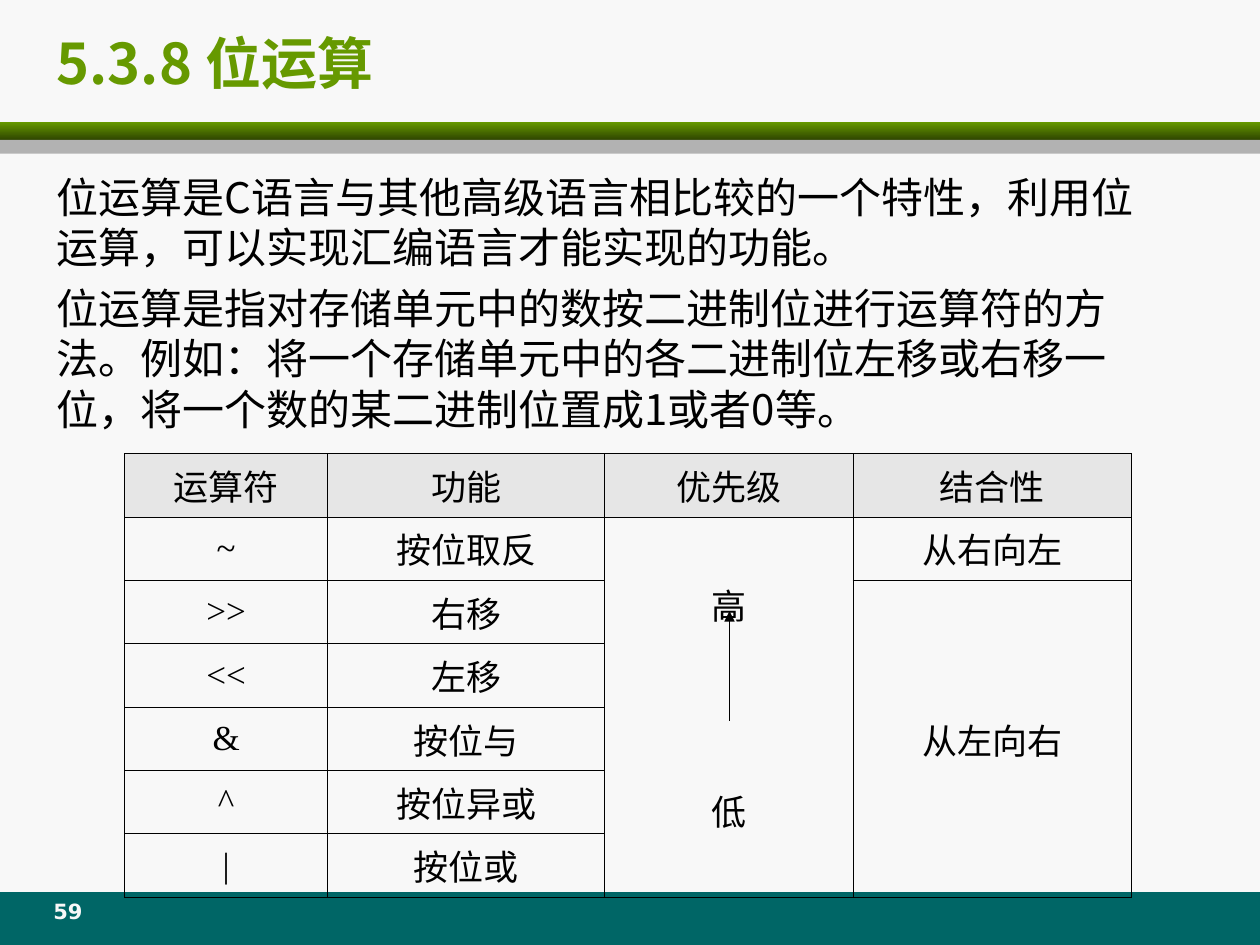
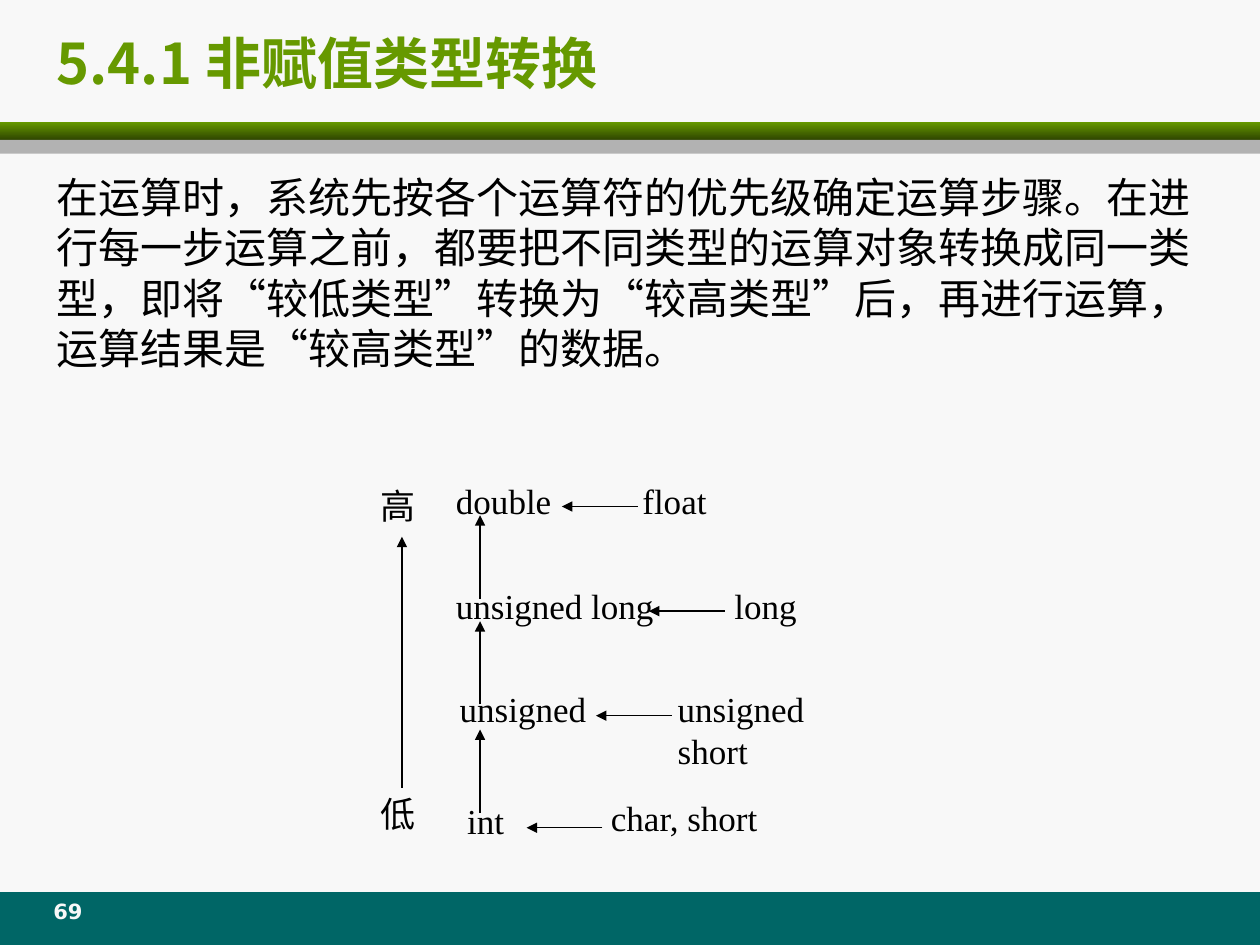
"""Build two slides on C bit operators and implicit type conversion."""
from lxml.etree import SubElement
from pptx import Presentation
from pptx.dml.color import RGBColor
from pptx.enum.shapes import MSO_CONNECTOR as Conn, MSO_SHAPE as Shape
from pptx.enum.text import MSO_ANCHOR as Anchor, PP_ALIGN as Align
from pptx.oxml import parse_xml
from pptx.oxml.ns import nsdecls, qn
from pptx.util import Inches, Pt

SANS, SERIF, DEJA = "Noto Sans CJK SC", "Times New Roman", "DejaVu Sans"
PAPER, GREEN, DARK, TEAL = "F8F8F8", "669900", "2F4600", "006666"
GREY, PALE, BLACK = "B2B2B2", "E6E6E6", "000000"

BANDS = [(7.08, 0.42, [TEAL]), (0.97, 0.14, [GREEN, DARK]), (1.11, 0.11, [GREY])]

BITS = {
    "title": "5.3.8 位运算",
    "page": "59",
    "width": 9.06,
    "body": [
        "位运算是C语言与其他高级语言相比较的一个特性，利用位运算，可以实现汇编语言才能实现的功能。",
        "位运算是指对存储单元中的数按二进制位进行运算符的方法。例如：将一个存储单元中的各二进制位"
        "左移或右移一位，将一个数的某二进制位置成1或者0等。",
    ],
}
CASTS = {
    "title": "5.4.1 非赋值类型转换",
    "page": "69",
    "width": 9.29,
    "body": [
        "在运算时，系统先按各个运算符的优先级确定运算步骤。在进行每一步运算之前，都要把不同类型的"
        "运算对象转换成同一类型，即将“较低类型”转换为“较高类型”后，再进行运算，"
        "运算结果是“较高类型”的数据。",
    ],
}

HEAD = ["运算符", "功能", "优先级", "结合性"]
OPS = [
    ("~", "按位取反"), (">>", "右移"), ("<<", "左移"),
    ("&", "按位与"), ("^", "按位异或"), ("|", "按位或"),
]
COLS = [1.61, 2.2, 1.97, 2.21]
HIGH = 3.52
SPANS = [(1, 2, ["高", "低"]), (2, 3, ["从左向右"])]

LABELS = [
    ("double", 3.52, 3.76, 1.01), ("float", 5, 3.76, 1),
    ("unsigned long", 3.52, 4.59, 1.81), ("long", 5.73, 4.59, 1.01),
    ("unsigned", 3.55, 5.41, 1.81), ("unsigned short", 5.28, 5.41, 1.81),
    ("int", 3.61, 6.3, 0.8), ("char, short", 4.75, 6.27, 1.81),
    ("高", 2.92, 3.8, 0.8), ("低", 2.92, 6.24, 0.8),
]
RISES = [4.75, 5.59, 6.45]
SIDES = [(5.06, 4.02), (5.75, 4.85), (5.33, 5.68), (4.78, 6.57)]


def color(code):
    """Turn a hex string into a colour."""
    return RGBColor.from_string(code)


def write(para, text, size, face, ink=BLACK, bold=False, align=Align.LEFT):
    """Add one formatted run to a paragraph."""
    para.alignment = align
    run = para.add_run()
    run.text = text
    font = run.font
    font.size, font.bold, font.name = Pt(size), bold, face
    font.color.rgb = color(ink)
    SubElement(run._r.get_or_add_rPr(), qn("a:ea")).set("typeface", SANS)


def add_box(slide, x, y, w, h):
    """Add a wrapping text box and return its frame."""
    frame = slide.shapes.add_textbox(*map(Inches, (x, y, w, h))).text_frame
    frame.word_wrap = True
    return frame


def add_arrow(slide, x1, y1, x2, y2):
    """Draw a thin arrow from the first point to the second."""
    line = slide.shapes.add_connector(Conn.STRAIGHT, *map(Inches, (x1, y1, x2, y2)))
    line.line.color.rgb = color(BLACK)
    line.line.width = Pt(0.75)
    props = line.element.spPr
    SubElement(props.find(qn("a:ln")), qn("a:tailEnd")).set("type", "triangle")
    SubElement(props, qn("a:effectLst"))


def add_bands(slide):
    """Draw the bands and hand them to the layout of the slide."""
    for y, h, inks in BANDS:
        band = slide.shapes.add_shape(Shape.RECTANGLE, 0, Inches(y), Inches(10), Inches(h))
        band.shadow.inherit = False
        band.line.fill.background()
        if len(inks) > 1:
            band.fill.gradient()
            band.fill.gradient_angle = 270
            for stop, ink in zip(band.fill.gradient_stops, inks):
                stop.color.rgb = color(ink)
        else:
            band.fill.solid()
            band.fill.fore_color.rgb = color(inks[0])
        slide.slide_layout.shapes.element.append(band.element)


def add_slide(deck, data):
    """Add a slide with its title, body text and page number."""
    slide = deck.slides.add_slide(deck.slide_layouts[5])
    title = slide.shapes.title
    title.left, title.top, title.width, title.height = map(Inches, (0.35, 0.2, 8.72, 0.59))
    title.text_frame.vertical_anchor = Anchor.MIDDLE
    write(title.text_frame.paragraphs[0], data["title"], 32, SANS, GREEN, True)
    frame = add_box(slide, 0.35, 1.31, data["width"], 5.69)
    for i, text in enumerate(data["body"]):
        para = frame.add_paragraph() if i else frame.paragraphs[0]
        para.space_before = Pt(6 if i else 0)
        para._p.get_or_add_pPr().set("hangingPunct", "0")
        write(para, text, 24, SANS)
    page = add_box(slide, 0.25, 7.08, 0.58, 0.33).paragraphs[0]
    write(page, data["page"], 12, DEJA, PAPER, True, Align.CENTER)
    return slide


def fill_cell(cell, lines):
    """Write centred lines into a cell, the second far below the first."""
    cell.vertical_anchor = Anchor.MIDDLE
    frame = cell.text_frame
    for i, text in enumerate(lines):
        para = frame.add_paragraph() if i else frame.paragraphs[0]
        para.space_before = Pt(89 if i else 0)
        write(para, text, 20, SERIF, align=Align.CENTER)


def rule_cell(cell, ink):
    """Give a cell thin borders and a plain fill, or none."""
    props = cell._tc.get_or_add_tcPr()
    for i, side in enumerate("LRTB"):
        props.insert(i, parse_xml(
            f'<a:ln{side} {nsdecls("a")} w="5715"><a:solidFill>'
            f'<a:srgbClr val="{BLACK}"/></a:solidFill></a:ln{side}>'))
    if ink:
        cell.fill.solid()
        cell.fill.fore_color.rgb = color(ink)
    else:
        cell.fill.background()


def add_ops(slide):
    """Add the table of bit operators."""
    count = len(OPS) + 1
    area = map(Inches, (0.99, 3.6, sum(COLS), HIGH))
    table = slide.shapes.add_table(count, len(COLS), *area).table
    table.first_row = table.horz_banding = False
    for col, w in zip(table.columns, COLS):
        col.width = Inches(w)
    for r, row in enumerate(table.rows):
        row.height = Inches(HIGH / count)
        for cell in row.cells:
            rule_cell(cell, None if r else PALE)
    for r, texts in enumerate([HEAD, *OPS]):
        for c, text in enumerate(texts):
            fill_cell(table.cell(r, c), [text])
    fill_cell(table.cell(1, 3), ["从右向左"])
    for r, c, lines in SPANS:
        table.cell(r, c).merge(table.cell(count - 1, c))
        fill_cell(table.cell(r, c), lines)
    add_arrow(slide, 5.79, 5.72, 5.79, 4.85)


def add_casts(slide):
    """Add the ladder of type conversions."""
    for text, x, y, w in LABELS:
        write(add_box(slide, x, y, w, 0.5).paragraphs[0], text, 20, SERIF, align=Align.JUSTIFY)
    for y in RISES:
        add_arrow(slide, 3.81, y, 3.81, y - 0.66)
    for x, y in SIDES:
        add_arrow(slide, x, y, x - 0.6, y)
    add_arrow(slide, 3.19, 6.25, 3.19, 4.26)


def main():
    """Build and save the deck."""
    deck = Presentation()
    deck.slide_width, deck.slide_height = Inches(10), Inches(7.5)
    back = deck.slide_master.background.fill
    back.solid()
    back.fore_color.rgb = color(PAPER)
    bits = add_slide(deck, BITS)
    add_bands(bits)
    add_ops(bits)
    add_casts(add_slide(deck, CASTS))
    deck.save("out.pptx")


if __name__ == "__main__":
    main()
